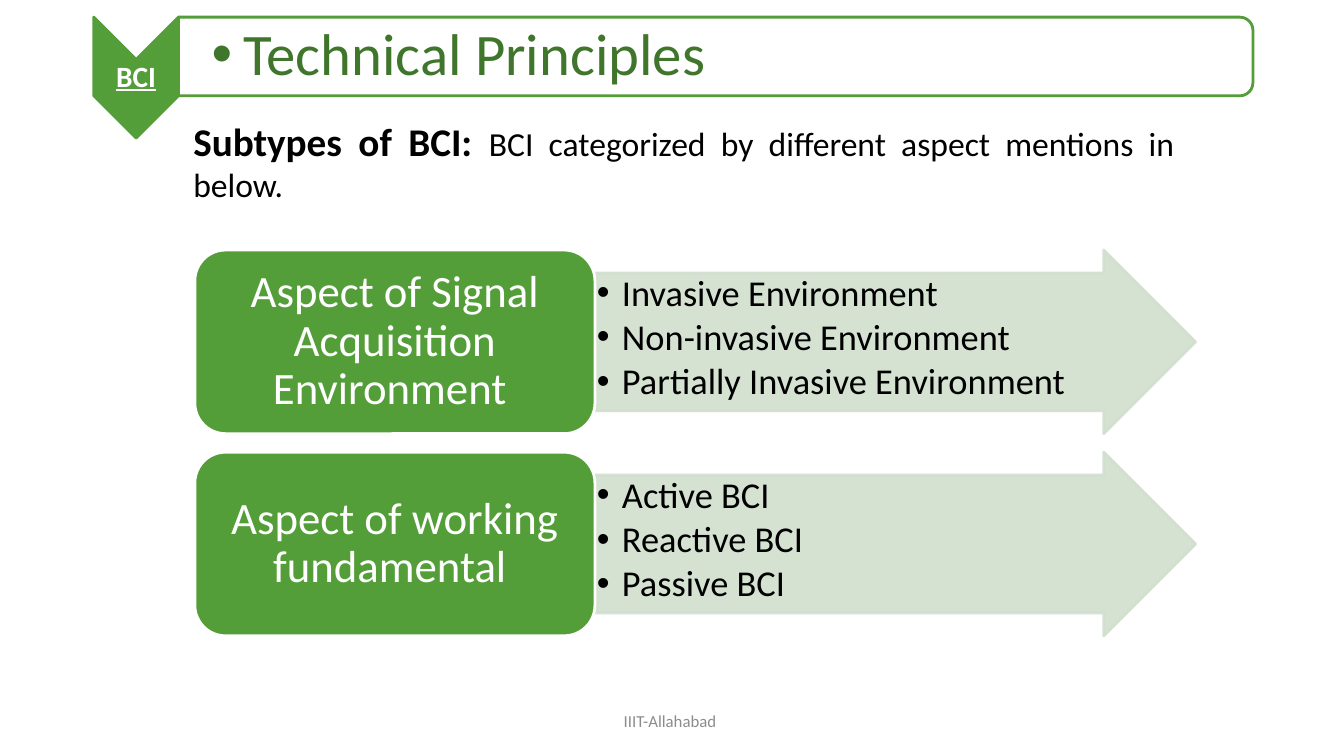
from lxml.etree import SubElement
from pptx import Presentation
from pptx.dml.color import RGBColor
from pptx.enum.shapes import MSO_SHAPE
from pptx.enum.text import MSO_ANCHOR, MSO_AUTO_SIZE, PP_ALIGN
from pptx.oxml.ns import qn
from pptx.util import Pt

FONT = "Calibri"
COLORS = {
    "green": "549E39",
    "dark green": "3F762B",
    "pale green": "D1DFCE",
    "white": "FFFFFF",
    "black": "000000",
    "gray": "8C8C8C",
}
ASPECTS = [
    ("Aspect of Signal Acquisition Environment ",
     ["Invasive Environment", "Non-invasive Environment", "Partially Invasive Environment"]),
    ("Aspect of working fundamental ",
     ["Active BCI", "Reactive BCI", "Passive BCI"]),
]
ROW_TOP = 178.6
ROW_PITCH = 144.4
ROW_HEIGHT = 131.2
LABEL_LEFT = 139.2
LABEL_WIDTH = 285.8
ARROW_WIDTH = 429


def color(name):
    return RGBColor.from_string(COLORS[name])


def set_opacity(fill, percent):
    fill_element = fill._xPr.find(qn("a:solidFill"))
    SubElement(fill_element[0], qn("a:alpha"), val=str(percent * 1000))


def add_outlined_shape(slide, kind, box, fill, line, opacity=100):
    shape = slide.shapes.add_shape(kind, *map(Pt, box))
    shape.shadow.inherit = False
    shape.fill.solid()
    shape.fill.fore_color.rgb = color(fill)
    shape.line.color.rgb = color(line)
    shape.line.width = Pt(2)
    if opacity < 100:
        set_opacity(shape.fill, opacity)
    return shape


def prepare_frame(frame, anchor, insets=(7.2, 3.6, 7.2, 3.6)):
    frame.word_wrap = True
    frame.vertical_anchor = anchor
    frame.margin_left, frame.margin_top, frame.margin_right, frame.margin_bottom = map(Pt, insets)


def add_text_box(slide, box, anchor, insets=(7.2, 3.6, 7.2, 3.6)):
    frame = slide.shapes.add_textbox(*map(Pt, box)).text_frame
    prepare_frame(frame, anchor, insets)
    return frame


def style_font(font, size, font_color, bold=False):
    font.name = FONT
    font.size = Pt(size)
    font.color.rgb = color(font_color)
    font.bold = bold


def write_paragraph(paragraph, text, size, font_color, align=PP_ALIGN.CENTER, bold=False, spacing=0.9):
    paragraph.text = text
    paragraph.alignment = align
    paragraph.line_spacing = spacing
    style_font(paragraph.font, size, font_color, bold)


def add_bullet(paragraph, indent):
    properties = paragraph._p.get_or_add_pPr()
    properties.set("marL", str(Pt(indent)))
    properties.set("indent", str(-Pt(indent)))
    SubElement(properties, qn("a:buFont"), typeface="Arial")
    SubElement(properties, qn("a:buChar"), char="•")


def add_header(slide):
    chevron = add_outlined_shape(slide, MSO_SHAPE.CHEVRON, (54, 25.2, 86.4, 60.5), "green", "green")
    chevron.rotation = 90
    badge = add_text_box(slide, (67, 42.5, 60.5, 25.9), MSO_ANCHOR.MIDDLE, (0.7,) * 4).paragraphs[0]
    write_paragraph(badge, "BCI", 21, "white", bold=True)
    badge.font.underline = True

    title_bar = add_outlined_shape(slide, MSO_SHAPE.ROUND_2_SAME_RECTANGLE,
                                   (483.1, -343.4, 56.2, 767.5), "white", "green", 90)
    title_bar.rotation = 90
    title = add_text_box(slide, (127.4, 15.1, 764.6, 50.4), MSO_ANCHOR.MIDDLE,
                         (23.8, 2.2, 2.2, 2.2)).paragraphs[0]
    add_bullet(title, 22.5)
    write_paragraph(title, "Technical Principles", 42, "dark green", PP_ALIGN.LEFT)


def add_introduction(slide):
    frame = add_text_box(slide, (131, 79.9, 715, 70.6), MSO_ANCHOR.TOP)
    frame.auto_size = MSO_AUTO_SIZE.SHAPE_TO_FIT_TEXT
    paragraph = frame.paragraphs[0]
    paragraph.alignment = PP_ALIGN.JUSTIFY
    for text, size, bold in [
        ("Subtypes of BCI: ", 28, True),
        ("BCI categorized by different aspect mentions in below.", 24, False),
    ]:
        run = paragraph.add_run()
        run.text = text
        style_font(run.font, size, "black", bold)


def add_aspect_row(slide, top, label_text, items):
    arrow = add_outlined_shape(slide, MSO_SHAPE.RIGHT_ARROW,
                               (LABEL_LEFT + LABEL_WIDTH, top, ARROW_WIDTH, ROW_HEIGHT),
                               "pale green", "pale green", 90)
    arrow.adjustments[0] = 0.75
    arrow.adjustments[1] = 0.5
    set_opacity(arrow.line.fill, 90)
    frame = arrow.text_frame
    prepare_frame(frame, MSO_ANCHOR.TOP, (1.3,) * 4)
    for index, item in enumerate(items):
        paragraph = frame.add_paragraph() if index else frame.paragraphs[0]
        add_bullet(paragraph, 18)
        write_paragraph(paragraph, item, 26, "black", PP_ALIGN.LEFT)
        paragraph.space_after = Pt(3.5)

    label = add_outlined_shape(slide, MSO_SHAPE.ROUNDED_RECTANGLE,
                               (LABEL_LEFT, top, LABEL_WIDTH, ROW_HEIGHT), "green", "white")
    prepare_frame(label.text_frame, MSO_ANCHOR.MIDDLE, (9.6, 4.8, 9.6, 4.8))
    write_paragraph(label.text_frame.paragraphs[0], label_text, 32, "white")


def add_footer(slide):
    frame = add_text_box(slide, (318, 500.5, 324, 28.8), MSO_ANCHOR.MIDDLE)
    write_paragraph(frame.paragraphs[0], "IIIT-Allahabad ", 12, "gray", spacing=1.0)


def main():
    presentation = Presentation()
    presentation.slide_width = Pt(960)
    presentation.slide_height = Pt(540)
    slide = presentation.slides.add_slide(presentation.slide_layouts[6])
    add_footer(slide)
    add_introduction(slide)
    add_header(slide)
    for row, (label_text, items) in enumerate(ASPECTS):
        add_aspect_row(slide, ROW_TOP + row * ROW_PITCH, label_text, items)
    presentation.save("out.pptx")


if __name__ == "__main__":
    main()
